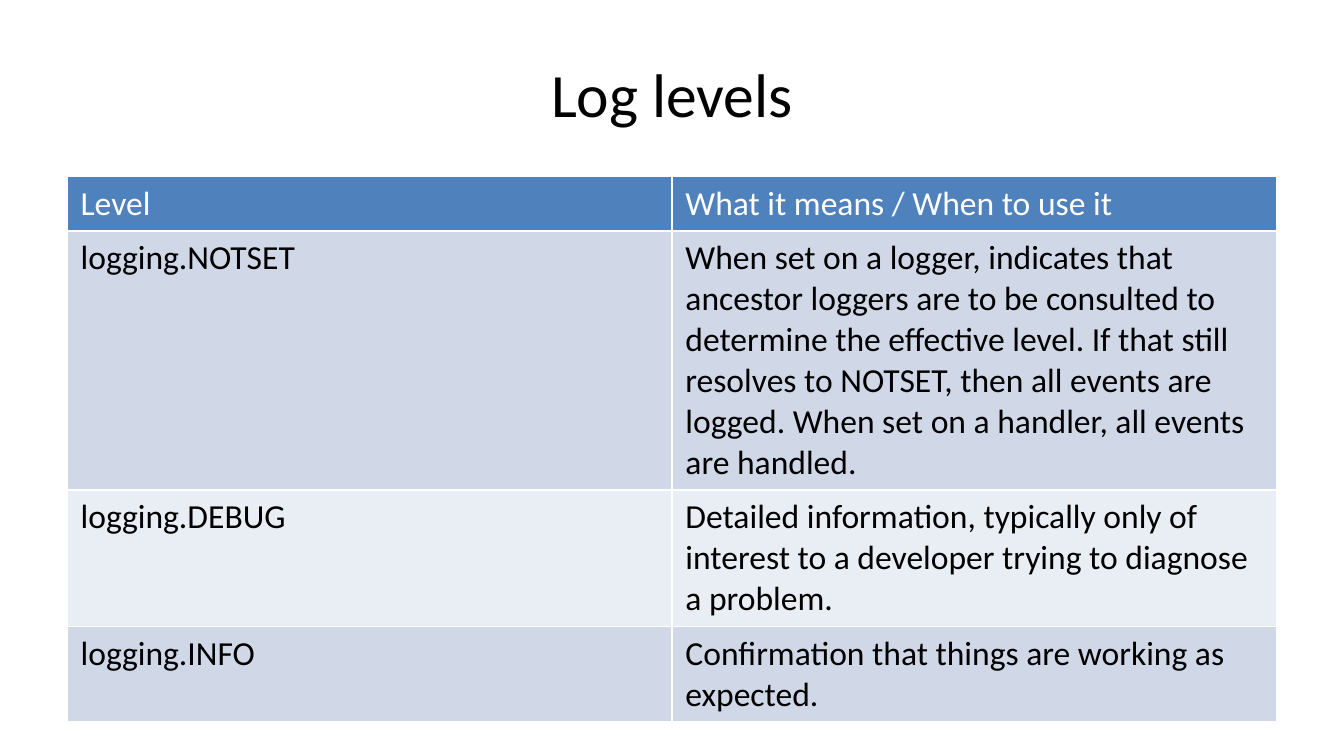
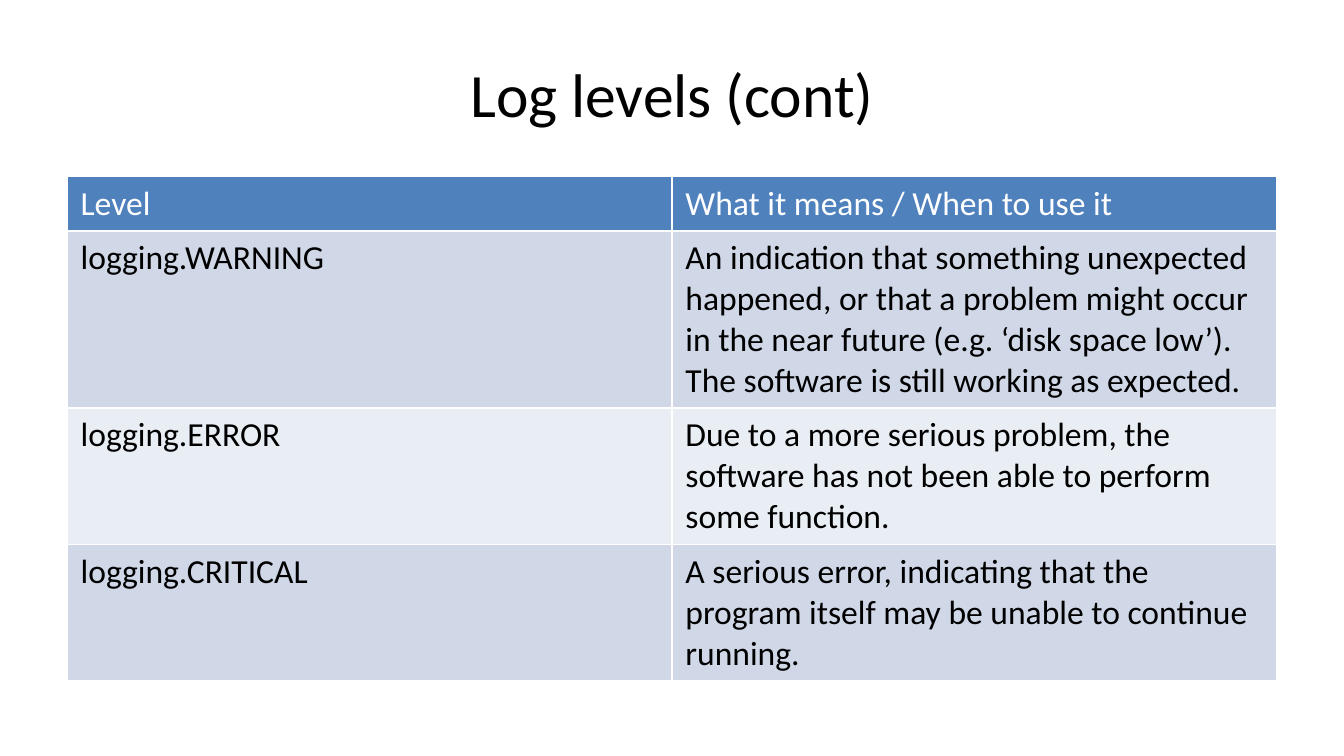
import pptx
import pptx.dml.color
import pptx.enum.text
import pptx.util

HEADER = ("Level", "What it means / When to use it")
# Each level: name, meaning, number of lines the meaning takes
SLIDES = [
    ("Log levels", [
        ("logging.NOTSET",
         "When set on a logger, indicates that ancestor loggers are to be "
         "consulted to determine the effective level. If that still resolves "
         "to NOTSET, then all events are logged. When set on a handler, all "
         "events are handled.", 6),
        ("logging.DEBUG",
         "Detailed information, typically only of interest to a developer "
         "trying to diagnose a problem.", 3),
        ("logging.INFO",
         "Confirmation that things are working as expected.", 2),
    ]),
    ("Log levels (cont)", [
        ("logging.WARNING",
         "An indication that something unexpected happened, or that a problem "
         "might occur in the near future (e.g. ‘disk space low’). The software "
         "is still working as expected.", 4),
        ("logging.ERROR",
         "Due to a more serious problem, the software has not been able to "
         "perform some function.", 3),
        ("logging.CRITICAL",
         "A serious error, indicating that the program itself may be unable "
         "to continue running.", 3),
    ]),
]

COLORS = {"text": "000000", "header_text": "FFFFFF",
          "header": "4F81BD", "odd": "D0D8E8", "even": "E9EDF4"}
FONT = "Calibri"
TITLE_SIZE, TABLE_SIZE = 33, 18

WIDTH = 10
HEIGHT = WIDTH * 9 / 16
MARGIN = WIDTH / 20
CONTENT_W = WIDTH - 2 * MARGIN
TITLE_TOP, TITLE_H = HEIGHT / 25, HEIGHT / 6
TABLE_TOP = HEIGHT * 7 / 30
LINE_H = TABLE_SIZE * 1.22 / 72
ROW_PAD = 0.1

inches = pptx.util.Inches


def rgb(name):
    return pptx.dml.color.RGBColor.from_string(COLORS[name])


def write(tf, text, size, color):
    p = tf.paragraphs[0]
    r = p.add_run()
    r.text = text
    r.font.color.rgb = rgb(color)
    style = {"name": FONT, "size": pptx.util.Pt(size), "bold": False}
    for key, value in style.items():
        setattr(r.font, key, value)
    return p


def add_title(slide, text):
    box = (MARGIN, TITLE_TOP, CONTENT_W, TITLE_H)
    tf = slide.shapes.add_textbox(*map(inches, box)).text_frame
    tf.word_wrap = True
    tf.vertical_anchor = pptx.enum.text.MSO_ANCHOR.MIDDLE
    p = write(tf, text, TITLE_SIZE, "text")
    p.alignment = pptx.enum.text.PP_ALIGN.CENTER


def add_level_table(slide, levels):
    """Add the header and level rows; the default table style draws the white rules."""
    rows = [(*HEADER, 1), *levels]
    heights = [LINE_H * lines + ROW_PAD for *_, lines in rows]
    box = (MARGIN, TABLE_TOP, CONTENT_W, sum(heights))
    table = slide.shapes.add_table(len(rows), len(HEADER), *map(inches, box)).table
    for i, (*texts, _) in enumerate(rows):
        table.rows[i].height = inches(heights[i])
        is_header = i == 0
        fill = "header" if is_header else "odd" if i % 2 else "even"
        color = "header_text" if is_header else "text"
        for j, text in enumerate(texts):
            cell = table.cell(i, j)
            cell.fill.solid()
            cell.fill.fore_color.rgb = rgb(fill)
            write(cell.text_frame, text, TABLE_SIZE, color)


def main():
    prs = pptx.Presentation()
    prs.slide_width, prs.slide_height = inches(WIDTH), inches(HEIGHT)
    for title, levels in SLIDES:
        slide = prs.slides.add_slide(prs.slide_layouts[6])
        add_title(slide, title)
        add_level_table(slide, levels)
    prs.save("out.pptx")


if __name__ == "__main__":
    main()
